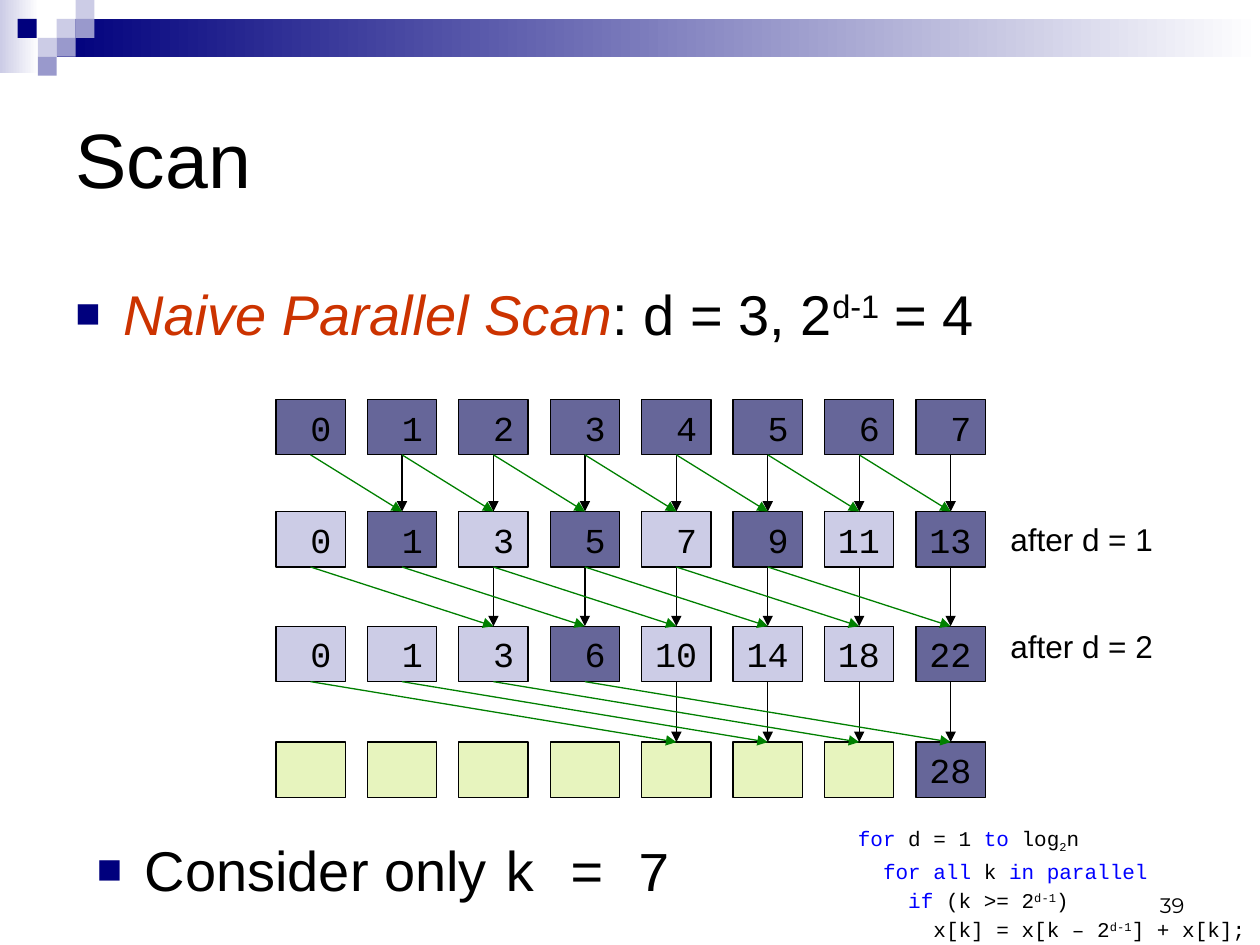
from pptx import Presentation
from pptx.dml.color import RGBColor as RGB
from pptx.enum.shapes import MSO_CONNECTOR as Link, MSO_SHAPE as Shape
from pptx.enum.text import MSO_ANCHOR as Anchor, PP_ALIGN as Align
from pptx.oxml.ns import qn
from pptx.util import Inches, Pt
from lxml.etree import SubElement as Sub

BLACK = RGB(0, 0, 0)
WHITE = RGB(255, 255, 255)
NAVY = RGB(0, 0, 0x7D)
BLUE = RGB(0, 0, 255)
GREEN = RGB(0, 0x80, 0)
RED = RGB(0xCC, 0x33, 0)
DARK = RGB(0x66, 0x66, 0x99)
MID = RGB(0x99, 0x99, 0xCC)
PALE = RGB(0xCC, 0xCC, 0xE6)
LIME = RGB(0xE7, 0xF4, 0xBE)
SANS, MONO = "Arial", "Courier New"


class Deck:
    """Style and current slide, with one method per kind of element."""

    def __init__(self):
        self.prs = Presentation()
        self.prs.slide_width, self.prs.slide_height = Inches(10), Inches(7.5)
        self.slide = self.prs.slides.add_slide(self.prs.slide_layouts[5])
        self.shapes = self.slide.shapes

    def put(self, para, runs, size, face=SANS):
        for text, color, *more in runs:
            run = para.add_run()
            run.text = text
            font = run.font
            font.size, font.name, font.color.rgb = Pt(size), face, color
            for key, value in (more[0] if more else {}).items():
                if key == "base":
                    run._r.get_or_add_rPr().set("baseline", str(value * 1000))
                elif key == "italic":
                    font.italic = value
                else:
                    font.name = value

    def title(self, text, box):
        item = self.shapes.title
        item.left, item.top, item.width, item.height = map(Inches, box)
        frame = item.text_frame
        frame.vertical_anchor = Anchor.MIDDLE
        frame.paragraphs[0].alignment = Align.LEFT
        self.put(frame.paragraphs[0], [(text, BLACK)], 44)

    def rect(self, box, fill, end=None, line=None):
        item = self.shapes.add_shape(Shape.RECTANGLE, *map(Inches, box))
        item.shadow.inherit = False
        if end is None:
            item.fill.solid()
            item.fill.fore_color.rgb = fill
        else:
            item.fill.gradient()
            item.fill.gradient_angle = 0
            for stop, color, place in zip(item.fill.gradient_stops, (fill, end), (0, 1)):
                stop.color.rgb, stop.position = color, place
        if line is None:
            item.line.fill.background()
        else:
            item.line.color.rgb, item.line.width = line, Pt(0.75)
        return item

    def cell(self, box, fill, text):
        item = self.rect(box, fill, line=BLACK)
        if text:
            frame = item.text_frame
            frame.margin_left, frame.margin_right = 0, Inches(0.11)
            frame.vertical_anchor = Anchor.MIDDLE
            frame.paragraphs[0].alignment = Align.RIGHT
            self.put(frame.paragraphs[0], [(text, BLACK)], 20, MONO)

    def text(self, box, lines, size, face=SANS, wrap=True, step=None):
        frame = self.shapes.add_textbox(*map(Inches, box)).text_frame
        frame.word_wrap = wrap
        for num, runs in enumerate(lines):
            para = frame.add_paragraph() if num else frame.paragraphs[0]
            self.put(para, runs, size, face)
            if step:
                para.space_before = Pt(size * 0.2)
                para._p.get_or_add_pPr().set("marL", str(Inches(step * num)))
        return frame

    def bullet(self, box, runs):
        para = self.text(box, [runs], 32).paragraphs[0]
        para.space_before = Pt(5)
        props = para._p.get_or_add_pPr()
        props.set("marL", str(Inches(0.38)))
        props.set("indent", str(Inches(-0.38)))
        Sub(Sub(props, qn("a:buClr")), qn("a:srgbClr")).set("val", str(NAVY))
        Sub(props, qn("a:buSzPct")).set("val", "75000")
        Sub(props, qn("a:buFont")).set("typeface", SANS)
        Sub(props, qn("a:buChar")).set("char", "■")

    def arrow(self, start, end, color):
        item = self.shapes.add_connector(Link.STRAIGHT, *map(Inches, start + end))
        item.line.color.rgb, item.line.width = color, Pt(0.75)
        props = item._element.spPr
        Sub(props.find(qn("a:ln")), qn("a:tailEnd")).set("type", "triangle")
        Sub(props, qn("a:effectLst"))


deck = Deck()
deck.rect((0, 0, 0.31, 0.58), PALE, WHITE)
deck.rect((0.45, 0.15, 9.55, 0.3), NAVY, WHITE)
for left, top, color in [(0.45, 0.15, PALE), (0.6, 0, PALE), (0.6, 0.15, MID),
                         (0.3, 0.3, PALE), (0.14, 0.15, NAVY),
                         (0.45, 0.3, MID), (0.3, 0.45, MID)]:
    deck.rect((left, top, 0.15, 0.15), color)

deck.title("Scan", (0.5, 0.5, 9, 1.5))
deck.bullet((0.5, 2.17, 9, 0.7), [
    ("Naive Parallel Scan", RED, {"italic": True}), (": d = 3, 2", BLACK),
    ("d-1", BLACK, {"base": 30}), (" = 4", BLACK)])

COUNT, WIDE, HIGH = 8, 0.55, 0.44
TOPS = [3.17, 4.06, 4.97, 5.89]
LEFTS = [2.19 + k * (7.27 - 2.19) / 7 for k in range(COUNT)]
MIDS = [left + WIDE / 2 for left in LEFTS]

sums = list(range(COUNT))
for row, top in enumerate(TOPS):
    last = row == len(TOPS) - 1
    hop = 2 ** (row - 1) if row else COUNT
    sums = [n + (sums[k - hop] if k >= hop else 0) for k, n in enumerate(sums)]
    for k, left in enumerate(LEFTS):
        full = (k + 1) % 2 ** row == 0
        fill = DARK if full else LIME if last else PALE
        deck.cell((left, top, WIDE, HIGH), fill, str(sums[k]) if full or not last else "")

for row, (top, low) in enumerate(zip(TOPS, TOPS[1:])):
    hop = 2 ** row
    for shift, color in ((0, BLACK), (hop, GREEN)):
        for k in range(hop, COUNT):
            deck.arrow((MIDS[k - shift], top + HIGH), (MIDS[k], low), color)

for num, top in ((1, 4.08), (2, 4.93)):
    deck.text((7.92, top, 1.33, 0.4), [[(f"after d = {num}", BLACK)]], 18, wrap=False)

deck.bullet((0.67, 6.58, 6, 0.83), [
    ("Consider only ", BLACK), ("k = 7", BLACK, {"name": MONO})])
deck.text((6.71, 6.5, 3.38, 1.08), [
    [("for", BLUE), (" d = 1 ", BLACK), ("to", BLUE), (" log", BLACK),
     ("2", BLACK, {"base": -25}), ("n", BLACK)],
    [("for all", BLUE), (" k ", BLACK), ("in parallel", BLUE)],
    [("if ", BLUE), ("(k >= 2", BLACK), ("d-1", BLACK, {"base": 30}), (")", BLACK)],
    [("x[k] = x[k – 2", BLACK), ("d-1", BLACK, {"base": 30}), ("] + x[k];", BLACK)],
], 12, MONO, step=0.2)

page = deck.text((7.17, 6.83, 2.33, 0.5), [[("39", BLACK)]], 12, "Montserrat")
page.vertical_anchor = Anchor.BOTTOM
page.paragraphs[0].alignment = Align.RIGHT
deck.prs.save("out.pptx")
